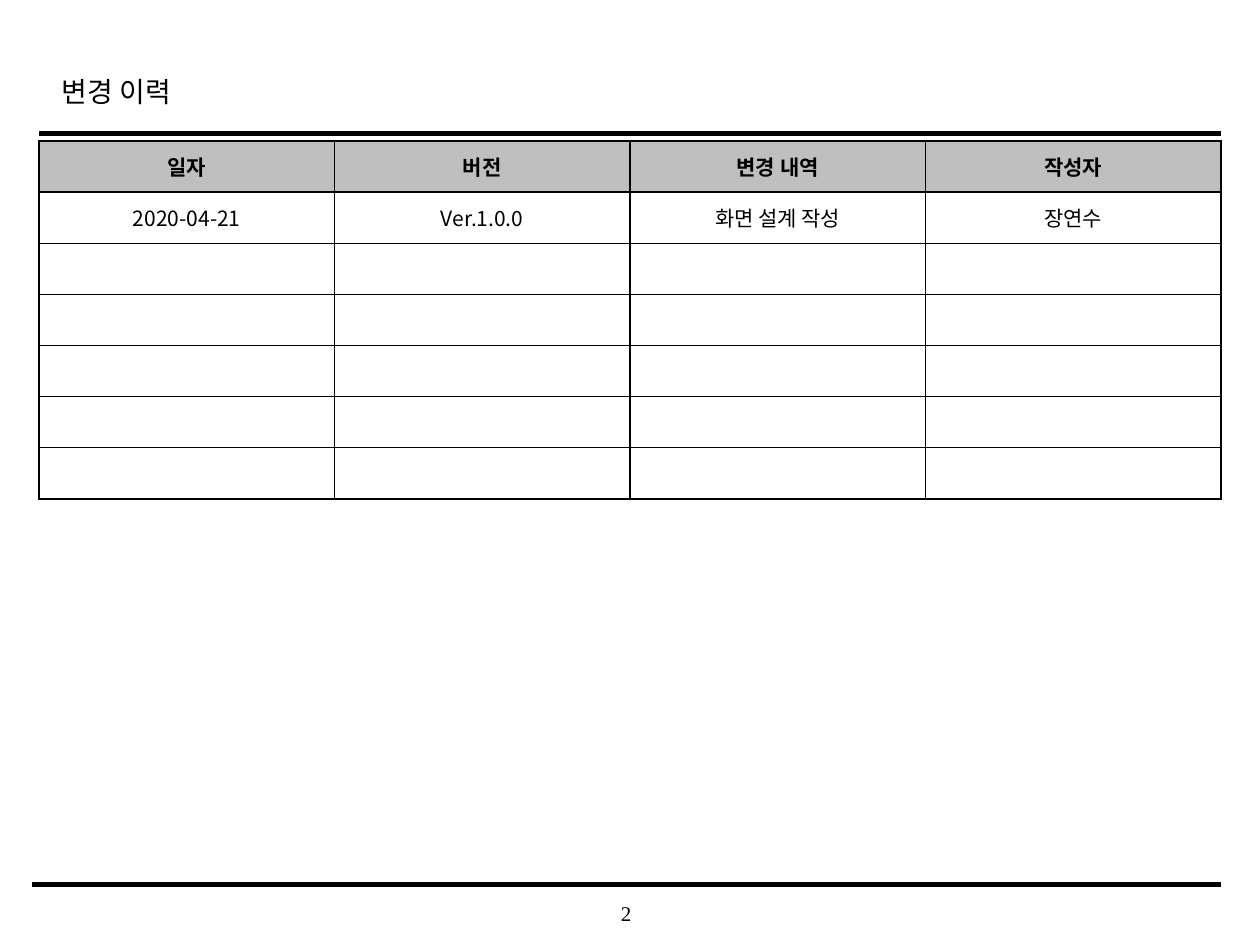
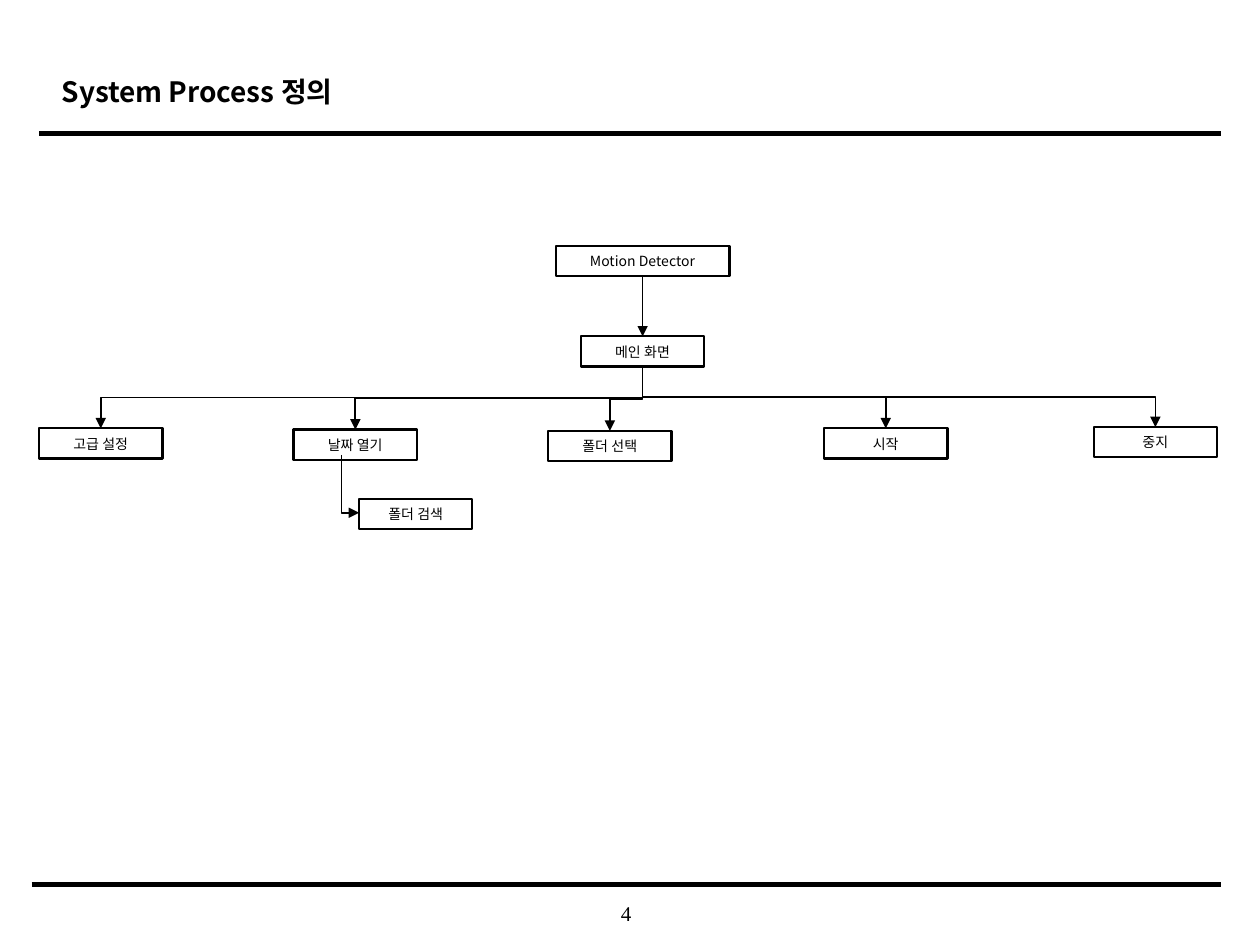
from lxml import etree
from pptx import Presentation
from pptx import util as u
from pptx.dml.color import RGBColor
from pptx.enum import shapes, text
from pptx.oxml.ns import qn

# Shared look: a grid of 100 columns by 75 rows
COLUMNS, ROWS = 100, 75
SLIDE_WIDTH, SLIDE_HEIGHT = u.Inches(10), u.Inches(7.5)
BLACK, WHITE, HEADER_GRAY = "000000", "FFFFFF", "BFBFBF"
BODY_FONT, NUMBER_FONT = "Noto Sans CJK KR", "Times New Roman"
LEFT, RIGHT = 3.1, 96.9
CENTER, LEFT_ALIGN = text.PP_ALIGN.CENTER, text.PP_ALIGN.LEFT
MIDDLE, TOP = text.MSO_ANCHOR.MIDDLE, text.MSO_ANCHOR.TOP

# Change history
HISTORY = [
    ["일자", "버전", "변경 내역", "작성자"],
    ["2020-04-21", "Ver.1.0.0", "화면 설계 작성", "장연수"],
]
HISTORY_ROWS = 7

# Process boxes: label, left, top, width
BOX_HEIGHT, BOX_WIDTH = 2.4, 9.8
START = ("Motion Detector", 44.1, 19.5, 13.8)
MAIN_SCREEN = ("메인 화면", 46.1, 26.7, BOX_WIDTH)
MENU = [
    ("고급 설정", 3.1, 34, BOX_WIDTH),
    ("날짜 열기", 23.3, 34.1, BOX_WIDTH),
    ("폴더 선택", 43.5, 34.2, BOX_WIDTH),
    ("시작", 65.4, 34, BOX_WIDTH),
    ("중지", 86.8, 33.9, BOX_WIDTH),
]
FOLDER_SEARCH = ("폴더 검색", 28.5, 39.6, 9)


def col(count):
    return u.Emu(round(SLIDE_WIDTH * count / COLUMNS))


def row(count):
    return u.Emu(round(SLIDE_HEIGHT * count / ROWS))


def color(hex_value):
    return RGBColor.from_string(hex_value)


def write(frame, words, size, font=BODY_FONT, bold=False, align=CENTER,
          anchor=MIDDLE, spacing=None):
    """Set one paragraph of formatted text."""
    frame.word_wrap = True
    frame.auto_size = text.MSO_AUTO_SIZE.NONE
    frame.vertical_anchor = anchor
    write_paragraph(frame.paragraphs[0], words, size, font, bold, align)
    frame.paragraphs[0].line_spacing = spacing


def write_paragraph(paragraph, words, size, font=BODY_FONT, bold=False,
                    align=CENTER):
    paragraph.alignment = align
    run = paragraph.add_run()
    run.text = words
    for name, value in {"size": u.Pt(size), "bold": bold, "name": font}.items():
        setattr(run.font, name, value)
    run.font.color.rgb = color(BLACK)
    east_asian = etree.Element(qn("a:ea"), typeface=font)
    run.font._element.find(qn("a:latin")).addnext(east_asian)


def style_line(connector, width, arrow=False):
    connector.line.color.rgb = color(BLACK)
    connector.line.width = u.Pt(width)
    properties = connector._element.spPr
    if arrow:
        etree.SubElement(properties.find(qn("a:ln")), qn("a:tailEnd"),
                         type="triangle")
    etree.SubElement(properties, qn("a:effectLst"))


def add_rule(slide, left, top, width):
    rule = slide.shapes.add_connector(
        shapes.MSO_CONNECTOR.STRAIGHT, col(left), row(top), col(RIGHT), row(top))
    style_line(rule, width)


def add_page(deck, heading, number, bold=False):
    """Title, upper and lower rules, and page number."""
    slide = deck.slides.add_slide(deck.slide_layouts[5])
    add_rule(slide, LEFT, 10.6, 2.5)
    add_rule(slide, 2.5, 70.2, 3)

    title = slide.shapes.title
    place = {"left": col(3.9), "top": row(4.9), "width": col(75.5), "height": row(5)}
    for name, value in place.items():
        setattr(title, name, value)
    write(title.text_frame, heading, 16, bold=bold, align=LEFT_ALIGN,
          anchor=TOP, spacing=1.2)

    page_number = slide.shapes.add_textbox(
        col(39.3), row(70.8), col(20.8), row(3.3)).text_frame
    for side in ("left", "top", "right", "bottom"):
        setattr(page_number, f"margin_{side}", 0)
    write(page_number, str(number), 12, NUMBER_FONT)
    return slide


def add_borders(cell):
    properties = cell._tc.get_or_add_tcPr()
    for side in ("lnL", "lnR", "lnT", "lnB"):
        border = etree.SubElement(properties, qn(f"a:{side}"), w=str(u.Pt(1)))
        fill = etree.SubElement(border, qn("a:solidFill"))
        etree.SubElement(fill, qn("a:srgbClr"), val=BLACK)


def add_history_table(slide):
    table = slide.shapes.add_table(
        HISTORY_ROWS, len(HISTORY[0]), col(LEFT), row(11.2),
        col(RIGHT - LEFT), row(28.4)).table
    for r in range(HISTORY_ROWS):
        for c in range(len(HISTORY[0])):
            cell = table.cell(r, c)
            cell.vertical_anchor = MIDDLE
            cell.margin_top = cell.margin_bottom = row(0.3)
            add_borders(cell)
            cell.fill.solid()
            cell.fill.fore_color.rgb = color(WHITE if r else HEADER_GRAY)
            if r < len(HISTORY):
                write_paragraph(cell.text_frame.paragraphs[0], HISTORY[r][c],
                                12, bold=r == 0)


def add_box(slide, step):
    label, left, top, width = step
    box = slide.shapes.add_shape(
        shapes.MSO_SHAPE.RECTANGLE, col(left), row(top), col(width), row(BOX_HEIGHT))
    box.shadow.inherit = False
    box.fill.background()
    box.line.color.rgb = color(BLACK)
    box.line.width = u.Pt(1.25)
    write(box.text_frame, label, 8)


def add_bent_arrow(slide, start, end, preset="bentConnector3"):
    """Arrow that leaves downwards, made by turning an elbow a quarter."""
    (x1, y1), (x2, y2) = start, end
    middle_x, middle_y = (x1 + x2) / 2, (y1 + y2) / 2
    half_run, half_drop = abs(x2 - x1) / 2, (y2 - y1) / 2
    to_right = x2 > x1
    reach = -half_drop if to_right else half_drop
    arrow = slide.shapes.add_connector(
        shapes.MSO_CONNECTOR.ELBOW,
        col(middle_x - reach), row(middle_y - half_run),
        col(middle_x + reach), row(middle_y + half_run))
    properties = arrow._element.spPr
    properties.find(qn("a:xfrm")).set("rot", str((270 if to_right else 90) * 60000))
    properties.find(qn("a:prstGeom")).set("prst", preset)
    style_line(arrow, 1, arrow=True)


def top_of(step):
    return step[1] + step[3] / 2, step[2]


def bottom_of(step):
    return step[1] + step[3] / 2, step[2] + BOX_HEIGHT


def add_process_chart(slide):
    for step in [START, MAIN_SCREEN, *MENU, FOLDER_SEARCH]:
        add_box(slide, step)
    add_bent_arrow(slide, bottom_of(START), top_of(MAIN_SCREEN))
    for step in MENU:
        add_bent_arrow(slide, bottom_of(MAIN_SCREEN), top_of(step))
    add_bent_arrow(slide, (27.1, 36.1), (FOLDER_SEARCH[1], 40.7), "bentConnector2")


def main():
    deck = Presentation()
    deck.slide_width, deck.slide_height = SLIDE_WIDTH, SLIDE_HEIGHT
    add_history_table(add_page(deck, "변경 이력", 2))
    add_process_chart(add_page(deck, "System Process 정의", 4, bold=True))
    deck.save("out.pptx")


if __name__ == "__main__":
    main()
